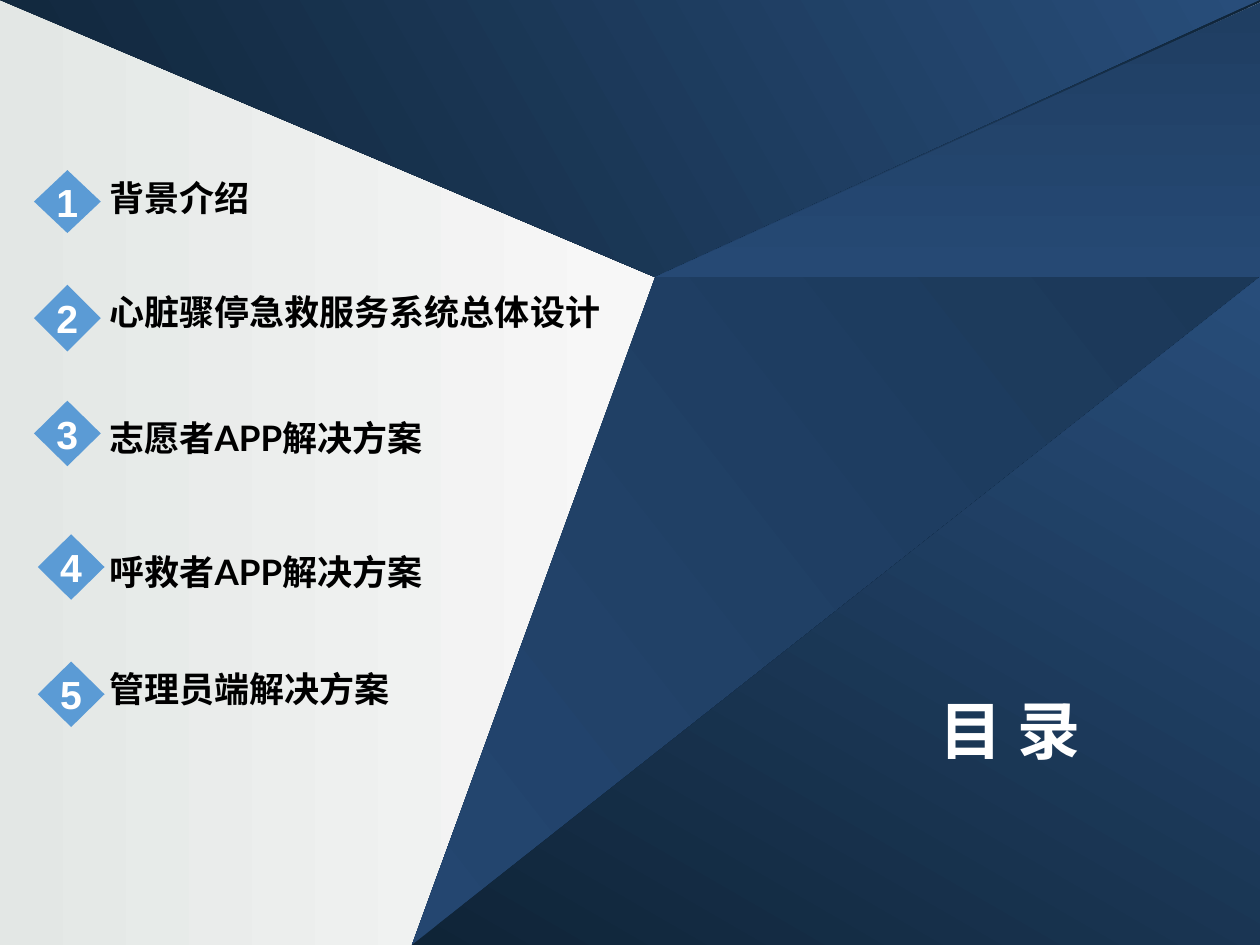
from dataclasses import dataclass

from lxml import etree
from pptx import Presentation
from pptx.dml import color
from pptx.enum import shapes, text
from pptx.oxml import ns
from pptx.util import Inches, Pt


@dataclass(frozen=True)
class Theme:
    paper: tuple = ("E3E7E5", "F7F7F7")
    deep: tuple = ("0F2437", "284D7A")
    middle: tuple = ("1B3858", "244670")
    right: tuple = ("1F3E62", "264974")
    marker: str = "5B9BD5"
    ink: str = "000000"
    white: str = "FFFFFF"
    title_size: float = 36
    item_size: float = 20
    marker_size: float = 22.4
    latin: str = "Lato"
    marker_font: str = "Arial"
    chinese: str = "Noto Sans CJK SC"
    chinese_alternate: str = "Noto Sans CJK JP"


THEME = Theme()

# Corner where all facets meet, and the foot of the light area
HUB = (5.2, 2.2)
FOOT = (3.27, 7.5)
RIGHT_CORNER = (10, 2.2)

# Points, colours and counter-clockwise gradient angle, back to front
FACETS = [
    ([HUB, RIGHT_CORNER, FOOT], THEME.middle, 218),
    ([FOOT, (10, 7.5), RIGHT_CORNER], THEME.deep, 60),
    ([(0, 0), (10, 0), HUB], THEME.deep, 30),
    ([(10, 0), HUB, (10, 0.02)], THEME.deep, 270),
    ([(10, 0.02), RIGHT_CORNER, HUB], THEME.right, 270),
]

# Wording, font, text top, marker left, marker top, marker height
AGENDA = [
    ("背景介绍", THEME.latin, 1.35, 0.27, 1.35, 0.5),
    ("心脏骤停急救服务系统总体设计", THEME.latin, 2.26, 0.27, 2.26, 0.53),
    ("志愿者APP解决方案", THEME.latin, 3.26, 0.27, 3.18, 0.52),
    ("呼救者APP解决方案", THEME.latin, 4.32, 0.3, 4.24, 0.52),
    ("管理员端解决方案", THEME.chinese_alternate, 5.25, 0.3, 5.25, 0.52),
]


def rgb(value):
    return color.RGBColor.from_string(value)


def fill_gradient(fill, colours, angle, end=1.0):
    fill.gradient()
    fill.gradient_angle = angle
    for stop, colour, position in zip(fill.gradient_stops, colours, (0, end)):
        stop.color.rgb = rgb(colour)
        stop.position = position


def write(shape, wording, font_name, size, colour, alignment):
    frame = shape.text_frame
    frame.word_wrap = False
    paragraph = frame.paragraphs[0]
    paragraph.text = wording
    paragraph.alignment = alignment
    font = paragraph.font
    font.name, font.size, font.bold = font_name, Pt(size), True
    font.color.rgb = rgb(colour)
    east_asian = etree.SubElement(font._element, ns.qn("a:ea"))
    east_asian.set("typeface", font_name if "CJK" in font_name else THEME.chinese)
    return frame


def add_facet(slide, points, colours, angle):
    corners = [(Inches(x), Inches(y)) for x, y in points]
    builder = slide.shapes.build_freeform(*corners[0])
    builder.add_line_segments(corners[1:], close=True)
    facet = builder.convert_to_shape()
    facet.shadow.inherit = False
    facet.line.fill.background()
    fill_gradient(facet.fill, colours, angle)


def add_marker(slide, number, left, top, width, height):
    marker = slide.shapes.add_shape(
        shapes.MSO_SHAPE.DIAMOND, Inches(left), Inches(top), Inches(width), Inches(height))
    marker.shadow.inherit = False
    marker.fill.solid()
    marker.fill.fore_color.rgb = rgb(THEME.marker)
    marker.line.fill.background()
    frame = write(marker, str(number), THEME.marker_font, THEME.marker_size,
                  THEME.white, text.PP_ALIGN.CENTER)
    frame.margin_left = frame.margin_right = frame.margin_top = frame.margin_bottom = 0
    frame.vertical_anchor = text.MSO_ANCHOR.MIDDLE


def add_agenda(slide, left, width):
    for number, (wording, font_name, top, *marker_place, height) in enumerate(AGENDA, 1):
        label = slide.shapes.add_textbox(Inches(left), Inches(top), Inches(width), Inches(0.35))
        write(label, wording, font_name, THEME.item_size, THEME.ink, text.PP_ALIGN.LEFT)
        add_marker(slide, number, *marker_place, 0.53, height)


def place_title(slide, left, top, width, height):
    title = slide.shapes.title
    title.left, title.top = Inches(left), Inches(top)
    title.width, title.height = Inches(width), Inches(height)
    frame = write(title, "目 录", THEME.chinese, THEME.title_size,
                  THEME.white, text.PP_ALIGN.LEFT)
    frame.vertical_anchor = text.MSO_ANCHOR.MIDDLE
    # Title placeholders are drawn first, so bring it above the facets
    slide.shapes._spTree.append(title._element)


def main():
    presentation = Presentation()
    presentation.slide_width, presentation.slide_height = Inches(10), Inches(7.5)
    slide = presentation.slides.add_slide(presentation.slide_layouts.get_by_name("Title Only"))
    fill_gradient(slide.background.fill, THEME.paper, 0, end=0.5)
    for points, colours, angle in FACETS:
        add_facet(slide, points, colours, angle)
    add_agenda(slide, 0.77, 4.2)
    place_title(slide, 7.36, 5.43, 1.35, 0.71)
    presentation.save("out.pptx")


if __name__ == "__main__":
    main()
